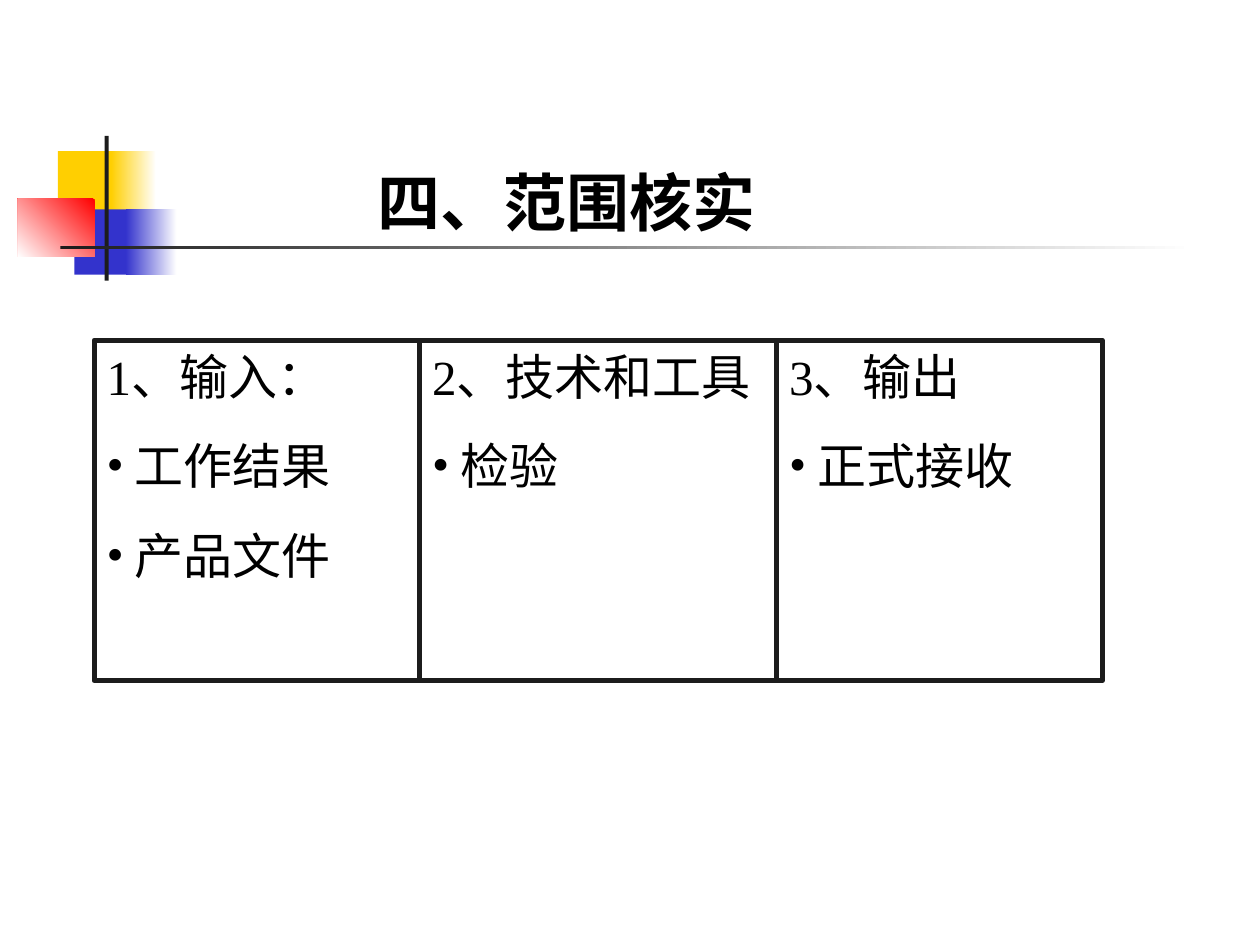
import dataclasses
import typing

import pptx
import pptx.dml.color
import pptx.enum.shapes
import pptx.enum.text
import pptx.oxml
import pptx.oxml.ns
import pptx.util

Cm = pptx.util.Cm
Pt = pptx.util.Pt
FONT = "Times New Roman"
BLACK = "000000"
INK = "1C1C1C"
YELLOW = "FFCF01"
BLUE = "3333CC"
COLUMN_TOP = 6.86
COLUMN_HEIGHT = 6.86
BULLET_INDENT = 0.57


@dataclasses.dataclass
class Block:
    left: float
    top: float
    width: float
    height: float
    color: str
    fade_angle: typing.Optional[float] = None


@dataclasses.dataclass
class Column:
    width: float
    heading: str
    items: list[str]


BLOCKS = [
    Block(1.17, 3.05, 1.22, 1.32, YELLOW),
    Block(2.24, 3.05, 0.91, 1.32, YELLOW, 0),
    Block(1.5, 4.22, 1.17, 1.32, BLUE),
    Block(2.54, 4.22, 1.02, 1.32, BLUE, 0),
    Block(0.36, 4.01, 1.55, 1.17, "FF0000", 225),
    Block(2.11, 2.74, 0.08, 2.92, INK),
    Block(1.22, 4.95, 22.86, 0.08, INK, 0),
]

COLUMNS = [
    Column(6.56, "1、输入：", ["工作结果", "产品文件"]),
    Column(7.2, "2、技术和工具", ["检验"]),
    Column(6.56, "3、输出", ["正式接收"]),
]


def rgb(value: str) -> pptx.dml.color.RGBColor:
    return pptx.dml.color.RGBColor.from_string(value)


def add_rectangle(page, left: float, top: float, width: float, height: float):
    shape = page.shapes.add_shape(
        pptx.enum.shapes.MSO_SHAPE.RECTANGLE, Cm(left), Cm(top), Cm(width), Cm(height)
    )
    shape.shadow.inherit = False
    return shape


def add_block(page, block: Block) -> None:
    shape = add_rectangle(page, block.left, block.top, block.width, block.height)
    shape.line.fill.background()
    if block.fade_angle is None:
        shape.fill.solid()
        shape.fill.fore_color.rgb = rgb(block.color)
        return
    shape.fill.gradient()
    shape.fill.gradient_angle = block.fade_angle
    for stop, color in zip(shape.fill.gradient_stops, (block.color, "FFFFFF")):
        stop.color.rgb = rgb(color)


def add_span(para, text: str, size: float, bold: bool = False) -> None:
    span = para.add_run()
    span.text = text
    span.font.name = FONT
    span.font.size = Pt(size)
    span.font.bold = bold
    span.font.color.rgb = rgb(BLACK)


def add_bullet(para) -> None:
    properties = para._p.get_or_add_pPr()
    properties.set("marL", str(Cm(BULLET_INDENT)))
    properties.set("indent", str(-Cm(BULLET_INDENT)))
    namespace = pptx.oxml.ns.nsdecls("a")
    for markup in (
        f'<a:buClr {namespace}><a:srgbClr val="{BLACK}"/></a:buClr>',
        f'<a:buFont {namespace} typeface="{FONT}"/>',
        f'<a:buChar {namespace} char="•"/>',
    ):
        properties.append(pptx.oxml.parse_xml(markup))


def add_title(page, text: str) -> None:
    box = page.shapes.add_textbox(Cm(5.5), Cm(3.18), Cm(11.86), Cm(1.7))
    box.text_frame.word_wrap = True
    para = box.text_frame.paragraphs[0]
    para.alignment = pptx.enum.text.PP_ALIGN.CENTER
    add_span(para, text, 36, bold=True)


def add_column(page, column: Column, left: float) -> None:
    box = add_rectangle(page, left, COLUMN_TOP, column.width, COLUMN_HEIGHT)
    box.fill.background()
    box.line.color.rgb = rgb(INK)
    box.line.width = Pt(3)
    frame = box.text_frame
    frame.word_wrap = True
    frame.vertical_anchor = pptx.enum.text.MSO_ANCHOR.TOP
    heading = frame.paragraphs[0]
    heading.alignment = pptx.enum.text.PP_ALIGN.LEFT
    add_span(heading, column.heading, 28)
    for item in column.items:
        para = frame.add_paragraph()
        para.alignment = pptx.enum.text.PP_ALIGN.LEFT
        para.space_before = Pt(17.5)
        add_bullet(para)
        add_span(para, item, 28)


def main() -> None:
    deck = pptx.Presentation()
    deck.slide_width = Cm(25.4)
    deck.slide_height = Cm(19.05)
    page = deck.slides.add_slide(deck.slide_layouts[6])
    for block in BLOCKS:
        add_block(page, block)
    add_title(page, "四、范围核实")
    left = 1.9
    for column in COLUMNS:
        add_column(page, column, left)
        left += column.width
    deck.save("out.pptx")


if __name__ == "__main__":
    main()
